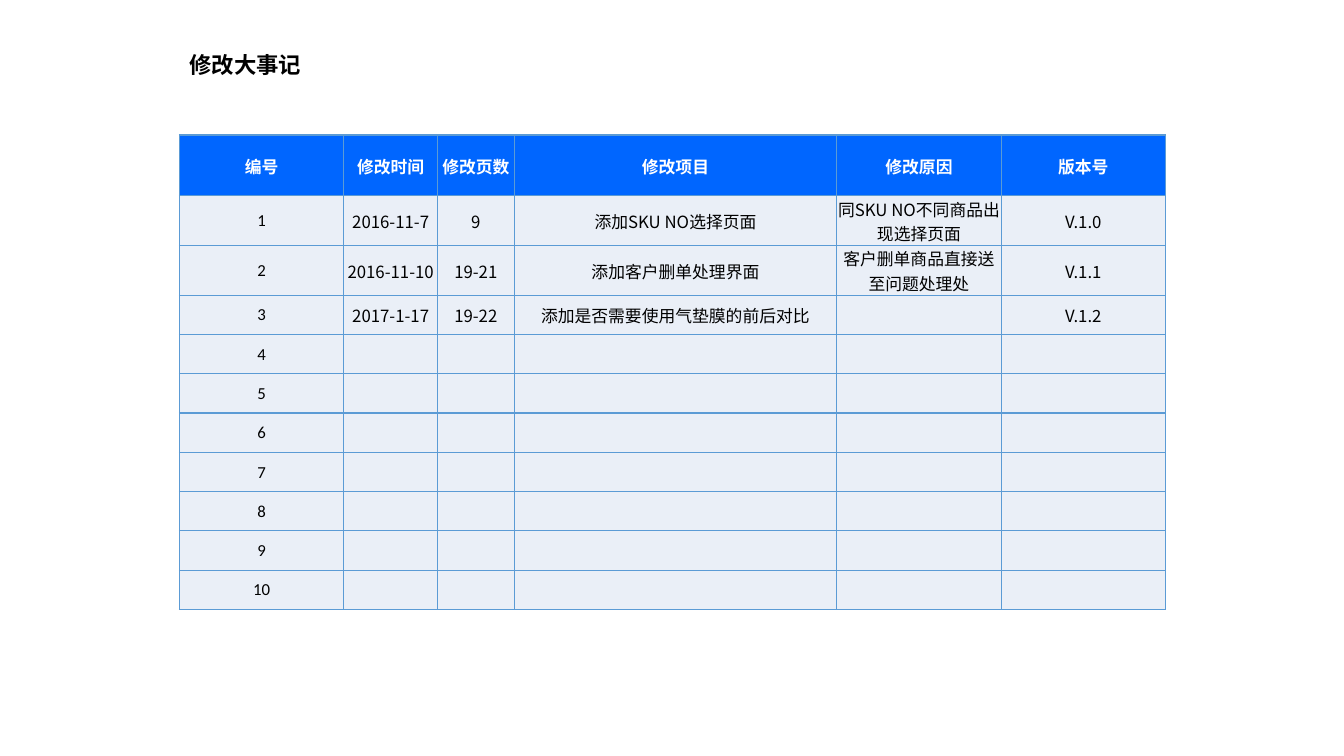
from lxml.etree import SubElement
from pptx import Presentation
from pptx.dml.color import RGBColor
from pptx.enum.text import MSO_ANCHOR as Anchor, MSO_AUTO_SIZE as AutoSize, PP_ALIGN as Align
from pptx.oxml.ns import qn
from pptx.util import Pt

PX = 9144  # 100 px to the inch
COLORS = {"header": "0066FF", "body": "EAEFF7", "border": "5B9BD5",
          "white": "FFFFFF", "black": "000000"}
LATIN, CJK = "Calibri", "Noto Sans CJK SC"

HEADINGS = ["编号", "修改时间", "修改页数", "修改项目", "修改原因", "版本号"]
CHANGES = [
    ["2016-11-7", "9", "添加SKU NO选择页面", "同SKU NO不同商品出现选择页面", "V.1.0"],
    ["2016-11-10", "19-21", "添加客户删单处理界面", "客户删单商品直接送至问题处理处", "V.1.1"],
    ["2017-1-17", "19-22", "添加是否需要使用气垫膜的前后对比", "", "V.1.2"],
]
ENTRY_COUNT = 10
COLUMN_WIDTHS = [163, 93, 76, 320, 163, 163]
HEADER_HEIGHT, ENTRY_HEIGHT = 60, 39


def add_run(paragraph, text, size, typeface, color, bold):
    run = paragraph.add_run()
    run.text = text
    run.font.size = Pt(size)
    run.font.name = typeface
    run.font.bold = bold
    run.font.color.rgb = RGBColor.from_string(COLORS[color])
    SubElement(run.font._element, qn("a:ea"), typeface=CJK)


def add_borders(cell):
    properties = cell._tc.get_or_add_tcPr()
    for side in ("a:lnL", "a:lnR", "a:lnT", "a:lnB"):
        line = SubElement(properties, qn(side), w=str(Pt(1)))
        fill = SubElement(line, qn("a:solidFill"))
        SubElement(fill, qn("a:srgbClr"), val=COLORS["border"])


deck = Presentation()
deck.slide_width, deck.slide_height = 1333 * PX, 750 * PX
slide = deck.slides.add_slide(deck.slide_layouts[6])

# Change log table
entries = [[str(number)] + (CHANGES[number - 1] if number <= len(CHANGES) else [""] * 5)
           for number in range(1, ENTRY_COUNT + 1)]
log_rows = [HEADINGS] + entries
log = slide.shapes.add_table(
    len(log_rows), len(HEADINGS), 178 * PX, 134 * PX, sum(COLUMN_WIDTHS) * PX,
    (HEADER_HEIGHT + ENTRY_COUNT * ENTRY_HEIGHT) * PX).table
for column, width in zip(log.columns, COLUMN_WIDTHS):
    column.width = width * PX

for r, values in enumerate(log_rows):
    is_header = r == 0
    log.rows[r].height = (HEADER_HEIGHT if is_header else ENTRY_HEIGHT) * PX
    for c, value in enumerate(values):
        cell = log.cell(r, c)
        add_borders(cell)
        cell.fill.solid()
        cell.fill.fore_color.rgb = RGBColor.from_string(COLORS["header" if is_header else "body"])
        cell.vertical_anchor = Anchor.MIDDLE
        cell.margin_left = cell.margin_right = cell.margin_top = PX
        cell.margin_bottom = 0
        paragraph = cell.text_frame.paragraphs[0]
        paragraph.alignment = Align.CENTER
        if value:
            uses_latin = c < 5 if is_header else c == 0
            add_run(paragraph, value, 12, LATIN if uses_latin else CJK,
                    "white" if is_header else "black", is_header)

# Title
title = slide.shapes.add_textbox(178 * PX, 46 * PX, 132 * PX, 37 * PX).text_frame
title.word_wrap = False
title.auto_size = AutoSize.SHAPE_TO_FIT_TEXT
add_run(title.paragraphs[0], "修改大事记", 16, LATIN, "black", True)

deck.save("out.pptx")
